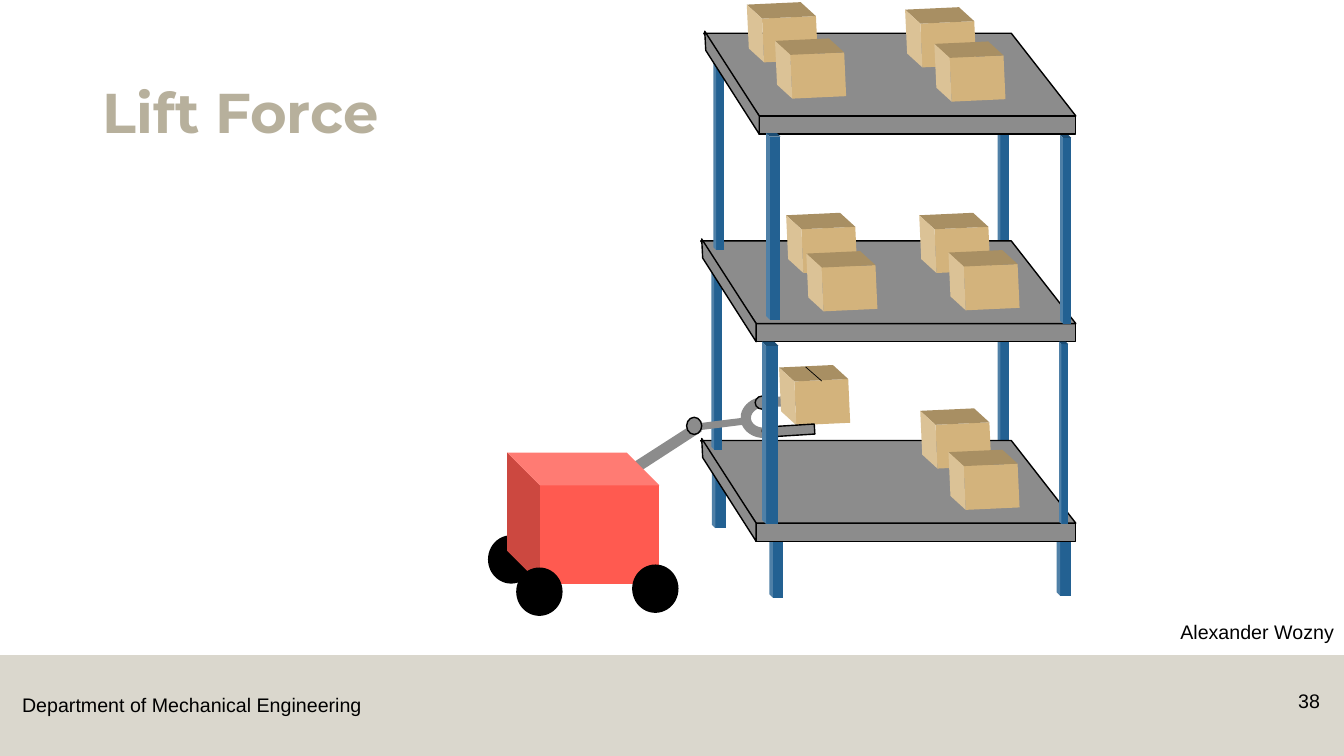
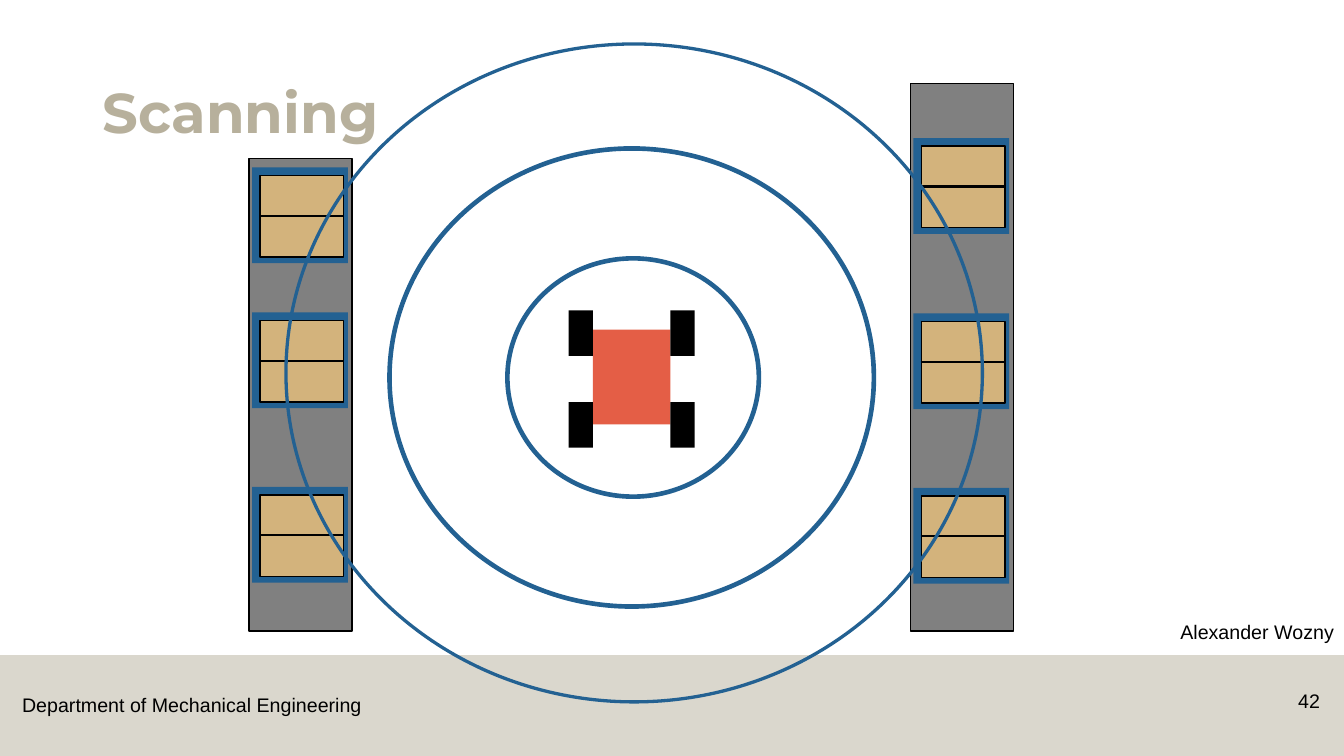
from pptx import Presentation
from pptx.dml.color import RGBColor
from pptx.enum.shapes import MSO_CONNECTOR, MSO_SHAPE as Kind
from pptx.enum.text import MSO_ANCHOR as Anchor, MSO_AUTO_SIZE as Size, PP_ALIGN as Align
from pptx.oxml.ns import qn
from pptx.util import Inches, Pt
from lxml import etree

# Shared look
SAND, BLUE, STEEL, CARD = "B7B09C", "236192", "8C8C8C", "D3B37C"
RED, BRICK, GRAY, BLACK, WHITE = "FF5A50", "E45E46", "808080", "000000", "FFFFFF"
HEAD = {"name": "Montserrat", "size": Pt(40), "bold": True}
BODY = {"name": "Arial", "size": Pt(14)}
DEPT = "Department of Mechanical Engineering"
NAME = "Alexander Wozny"

# Rack: posts are (centre x, top, width, length), shelves are (front x, front y)
BACK = [(10.55, 5.27, 0.14, 0.64), (9.95, 2.55, 0.11, 1.98),
        (9.95, 0.6, 0.11, 1.98), (7.7, 5.29, 0.14, 0.64),
        (7.13, 4.6, 0.14, 0.64)]
TIERS = [((7.5, 5.19), (7.11, 2.48, 0.11, 1.98)),
         ((7.5, 3.21), (7.13, 0.5, 0.11, 1.98)),
         ((7.53, 1.15), None)]
FRONT = [(7.67, 1.32, 0.14, 1.85), (10.57, 1.34, 0.11, 1.87),
         (10.55, 3.39, 0.09, 1.81)]
NEAR = (7.64, 3.39, 0.16, 1.81)
EDGE = 10.67
BOXES = [(7.47, -0.02), (9.04, 0.03), (9.33, 0.37), (7.86, 2.07), (8.06, 2.45),
         (9.18, 2.07), (9.47, 2.44), (9.19, 4.01), (9.47, 4.42), (7.75, 0.34)]

# Robot and gripper: kind, x, y, width, height, fill, options
BOOM = [(6.96, 4.28), (6.9, 4.19), (5.36, 5.18), (5.62, 5.15)]
CART = [
    (Kind.OVAL, 4.84, 5.31, 0.46, 0.48, BLACK, {}),
    (Kind.CUBE, 5.03, 4.49, 1.51, 1.3, RED, {"flip": True}),
    (Kind.OVAL, 5.12, 5.63, 0.46, 0.48, BLACK, {}),
    (Kind.OVAL, 6.27, 5.6, 0.46, 0.48, BLACK, {}),
    (Kind.RECTANGLE, 6.86, 5.38, 0.07, 0.05, WHITE, {"rot": 8.7}),
]
JAW = (Kind.RECTANGLE, 7.58, 3.93, 0.43, 0.1, STEEL, {"rot": 356.4})
GRIP = [
    (Kind.RECTANGLE, 7.09, 3.96, 0.07, 0.5, STEEL, {"rot": 82.9}),
    (Kind.OVAL, 6.81, 4.14, 0.15, 0.17, STEEL, {"line": 1}),
    (Kind.RECTANGLE, 7.65, 4.22, 0.43, 0.1, STEEL, {"rot": 356.4, "line": 1}),
    (Kind.BLOCK_ARC, 7.38, 3.9, 0.41, 0.48, STEEL, {"rot": 264.6}),
    (Kind.OVAL, 7.56, 4.21, 0.14, 0.13, STEEL, {"line": 1}),
    (Kind.OVAL, 7.49, 3.93, 0.14, 0.13, STEEL, {"line": 1}),
]

# Scan view: aisles are (x, y, height, crate x, crate tops)
AISLES = [(9.03, 0.83, 5.43, 9.06, (1.37, 3.11, 4.84)),
          (2.47, 1.57, 4.69, 2.5, (1.66, 3.1, 4.83))]
WHEELS = [(x, y) for x in (5.64, 6.65) for y in (3.08, 3.99)]
RINGS = [(5.01, 2.54, 2.54, 2.41, 0.019), (3.84, 1.45, 4.85, 4.59, 0.01),
         (2.82, 0.42, 6.94, 6.56, 0.005)]


def hue(code):
    return RGBColor.from_string(code)


def paint(shape, fill, line=0):
    shape.shadow.inherit = False
    shape.fill.solid()
    shape.fill.fore_color.rgb = hue(fill)
    if line:
        shape.line.color.rgb = hue(BLACK)
        shape.line.width = Pt(line)
    else:
        shape.line.fill.background()
    return shape


def draw(host, kind, x, y, w, h, fill, line=0, rot=0, flip=False):
    shape = host.add_shape(kind, *map(Inches, (x, y, w, h)))
    shape.rotation = rot
    if flip:
        shape.element.spPr.find(qn("a:xfrm")).set("flipH", "1")
    return paint(shape, fill, line)


def poly(host, spots, fill, line=0):
    first, *rest = [(Inches(x), Inches(y)) for x, y in spots]
    build = host.build_freeform(*first)
    build.add_line_segments(rest, close=True)
    return paint(build.convert_to_shape(), fill, line)


def rule(host, x1, y1, x2, y2, width):
    line = host.add_connector(MSO_CONNECTOR.STRAIGHT, *map(Inches, (x1, y1, x2, y2)))
    line.line.color.rgb = hue(BLACK)
    line.line.width = Pt(width)
    etree.SubElement(line.element.spPr, qn("a:effectLst"))


def write(frame, text, style, color, align=Align.LEFT):
    frame.text = text
    para = frame.paragraphs[0]
    para.alignment = align
    font = para.runs[0].font
    for key, value in style.items():
        setattr(font, key, value)
    font.color.rgb = hue(color)
    return para


def label(host, text, x, y, w, h, align=Align.LEFT, wrap=True):
    box = host.add_textbox(*map(Inches, (x, y, w, h)))
    box.text_frame.word_wrap = wrap
    write(box.text_frame, text, BODY, BLACK, align)
    return box


def footer(layout, slide):
    """Build the band and department name, then move them to the layout."""
    band = draw(slide.shapes, Kind.RECTANGLE, 0, 6.5, 13.33, 1, SAND)
    tint = band.element.spPr.find(".//" + qn("a:srgbClr"))
    etree.SubElement(tint, qn("a:alpha")).set("val", "50000")
    dept = label(slide.shapes, DEPT, 0.12, 6.83, 3.59, 0.34, wrap=False)
    for num, part in enumerate((band, dept), 20):
        part.element.nvSpPr.cNvPr.set("id", str(num))
        layout.shapes.element.append(part.element)


def start(deck, layout, title, page):
    slide = deck.slides.add_slide(layout)
    head = slide.shapes.title
    spot = {"left": 0.92, "top": 0.4, "width": 11.5, "height": 1.09}
    for key, value in spot.items():
        setattr(head, key, Inches(value))
    frame = head.text_frame
    frame.auto_size = Size.NONE
    frame.vertical_anchor = Anchor.BOTTOM
    write(frame, title, HEAD, SAND).line_spacing = 0.9
    label(slide.shapes, page, 12.42, 6.79, 0.77, 0.4, Align.RIGHT)
    return slide


def sign(slide):
    label(slide.shapes, NAME, 8.83, 6.1, 4.5, 0.4, Align.RIGHT)


def post(host, mid, top, w, size):
    # A cube lying on its side, turned upright about its centre
    draw(host, Kind.CUBE, mid - size / 2, top + (size - w) / 2, size, w, BLUE, rot=270)


def shelf(host, x, y):
    group = host.add_group_shape().shapes
    draw(group, Kind.RECTANGLE, x, y, EDGE - x, 0.18, STEEL, 1)
    poly(group, [(x - 0.55, y - 0.82), (10.03, y - 0.82), (EDGE, y), (x, y)], STEEL, 1)
    poly(group, [(x - 0.53, y - 0.65), (x - 0.54, y - 0.84), (x, y), (x, y + 0.18)],
         STEEL, 1)


def carton(host, x, y):
    draw(host, Kind.CUBE, x, y, 0.58, 0.68, CARD, rot=267.4)


def parts(host, items):
    for *base, opts in items:
        draw(host, *base, **opts)


def lift(slide):
    host = slide.shapes
    # Rack
    for item in BACK:
        post(host, *item)
    for spot, leg in TIERS:
        shelf(host, *spot)
        if leg:
            post(host, *leg)
    for item in FRONT:
        post(host, *item)
    # Robot
    poly(host, BOOM, STEEL)
    parts(host.add_group_shape().shapes, CART)
    # Lifted box and gripper
    parts(host, [JAW])
    load = host.add_group_shape().shapes
    carton(load, 7.79, 3.58)
    rule(load, 7.99, 3.64, 8.15, 3.78, 0.5)
    parts(host.add_group_shape().shapes, GRIP)
    post(host, *NEAR)
    # Stored boxes
    for spot in BOXES:
        carton(host, *spot)


def crate(host, x, y):
    draw(host, Kind.RECTANGLE, x, y, 0.95, 0.95, BLUE)
    draw(host, Kind.RECTANGLE, x + 0.08, y + 0.08, 0.83, 0.81, CARD, 1)
    rule(host, x + 0.07, y + 0.48, x + 0.91, y + 0.48, 1.5)


def scan(slide):
    host = slide.shapes
    # Robot from above
    robot = host.add_group_shape().shapes
    draw(robot, Kind.RECTANGLE, 5.88, 3.27, 0.77, 0.94, BRICK)
    for x, y in WHEELS:
        draw(robot, Kind.RECTANGLE, x, y, 0.24, 0.45, BLACK)
    # Aisles
    for x, y, h, left, tops in AISLES:
        aisle = host.add_group_shape().shapes
        draw(aisle, Kind.RECTANGLE, x, y, 1.02, h, GRAY, 1)
        for top in tops:
            crate(aisle, left, top)
    # Scan rings
    for *place, band in RINGS:
        ring = draw(host, Kind.DONUT, *place, BLUE)
        ring.adjustments[0] = band


SLIDES = [("Lift Force", "38", lift), ("Scanning", "42", scan)]


def main():
    deck = Presentation()
    deck.slide_width, deck.slide_height = Inches(13.33), Inches(7.5)
    layout = deck.slide_layouts[5]
    for num, (title, page, scene) in enumerate(SLIDES):
        slide = start(deck, layout, title, page)
        if num == 0:
            footer(layout, slide)
        scene(slide)
        sign(slide)
    deck.save("out.pptx")


if __name__ == "__main__":
    main()
